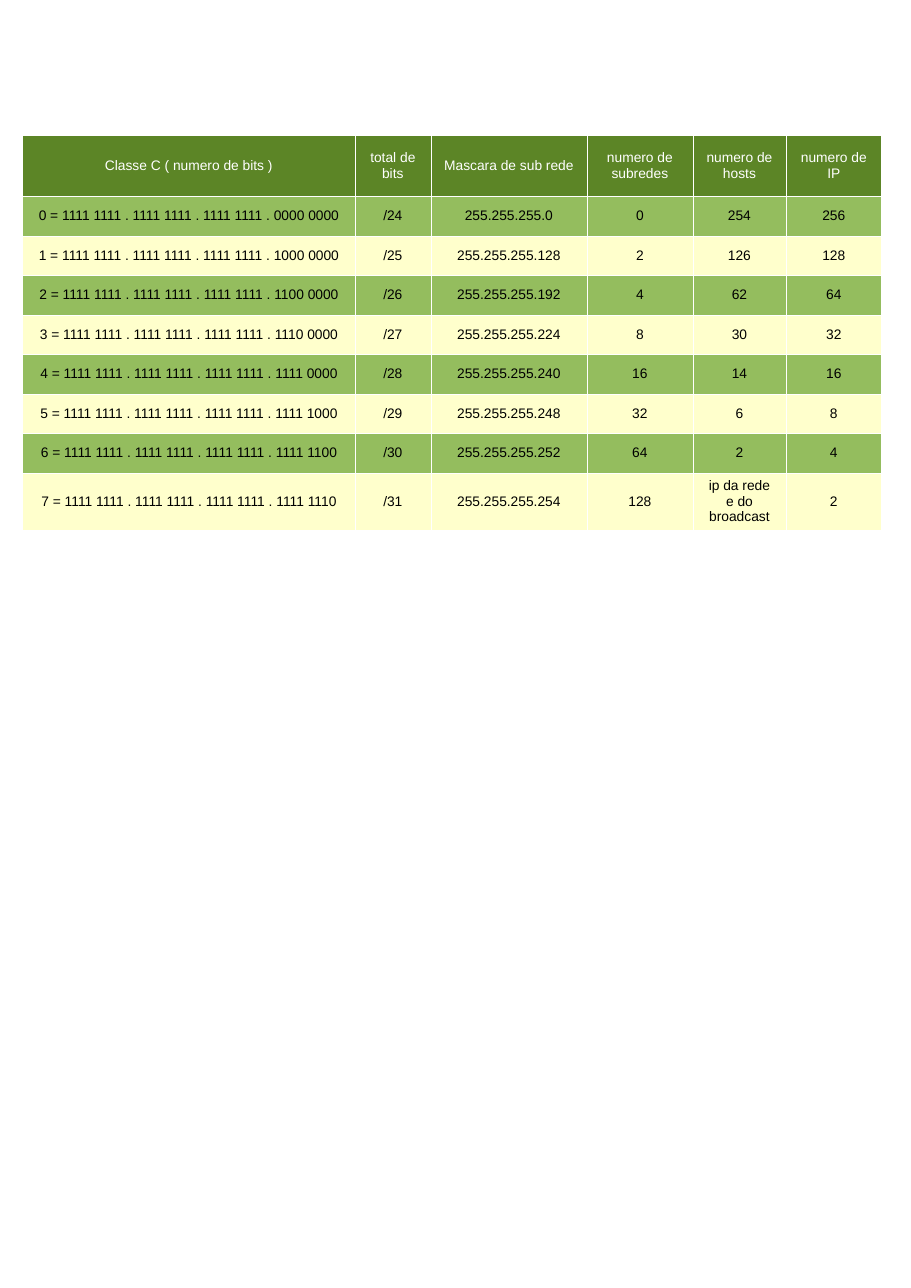
import dataclasses

import lxml.etree
import pptx
import pptx.dml.color
import pptx.enum.text
import pptx.oxml.ns
import pptx.table
import pptx.util

Cm = pptx.util.Cm
COLOURS = {
    "header": "5C8526",
    "even": "94BD5E",
    "odd": "FFFFCC",
    "border": "FFFFFF",
    "header_text": "FFFFFF",
    "body_text": "000000",
}
BORDER_WIDTH = pptx.util.Pt(0.06)
HEADER_HEIGHT = Cm(1.41)
ROW_HEIGHT = Cm(0.91)
LAST_ROW_HEIGHT = Cm(1.29)


@dataclasses.dataclass(frozen=True)
class Column:
    heading: str
    width_cm: float


@dataclasses.dataclass(frozen=True)
class Subnet:
    """A class C network with some host bits borrowed for subnets."""

    borrowed_bits: int

    def texts(self) -> list[str]:
        addresses = 2 ** (8 - self.borrowed_bits)
        mask = 256 - addresses
        bits = f"{mask:08b}"
        subnets = 2 ** self.borrowed_bits if self.borrowed_bits else 0
        hosts = str(addresses - 2) if addresses > 2 else "ip da rede e do broadcast"
        octets = ["1111 1111"] * 3 + [f"{bits[:4]} {bits[4:]}"]
        return [
            f"{self.borrowed_bits} = {' . '.join(octets)}",
            f"/{24 + self.borrowed_bits}",
            f"255.255.255.{mask}",
            str(subnets),
            hosts,
            str(addresses),
        ]


COLUMNS = [
    Column("Classe C ( numero de bits )", 7.66),
    Column("total de bits", 1.75),
    Column("Mascara de sub rede", 3.6),
    Column("numero de subredes", 2.44),
    Column("numero de hosts", 2.15),
    Column("numero de IP", 2.2),
]
SUBNETS = [Subnet(borrowed_bits) for borrowed_bits in range(8)]


def rgb(name: str) -> pptx.dml.color.RGBColor:
    return pptx.dml.color.RGBColor.from_string(COLOURS[name])


def add_borders(cell: pptx.table._Cell) -> None:
    """Must run before the fill is set, since borders come first in the XML."""
    qn = pptx.oxml.ns.qn
    properties = cell._tc.get_or_add_tcPr()
    for side in ("a:lnL", "a:lnR", "a:lnT", "a:lnB"):
        line = lxml.etree.SubElement(properties, qn(side), w=str(BORDER_WIDTH))
        fill = lxml.etree.SubElement(line, qn("a:solidFill"))
        lxml.etree.SubElement(fill, qn("a:srgbClr"), val=COLOURS["border"])


def fill_row(row: pptx.table._Row, texts: list[str], background: str, text_colour: str) -> None:
    for cell, text in zip(row.cells, texts):
        add_borders(cell)
        cell.fill.solid()
        cell.fill.fore_color.rgb = rgb(background)
        cell.vertical_anchor = pptx.enum.text.MSO_ANCHOR.MIDDLE
        cell.text = text
        paragraph = cell.text_frame.paragraphs[0]
        paragraph.alignment = pptx.enum.text.PP_ALIGN.CENTER
        paragraph.font.name = "Arial"
        paragraph.font.size = pptx.util.Pt(9)
        paragraph.font.color.rgb = rgb(text_colour)


def main() -> None:
    presentation = pptx.Presentation()
    presentation.slide_width = Cm(21)
    presentation.slide_height = Cm(29.7)
    slide = presentation.slides.add_slide(presentation.slide_layouts[6])

    heights = [HEADER_HEIGHT] + [ROW_HEIGHT] * (len(SUBNETS) - 1) + [LAST_ROW_HEIGHT]
    total_width = Cm(sum(column.width_cm for column in COLUMNS))
    subnet_table = slide.shapes.add_table(
        len(heights), len(COLUMNS), Cm(0.52), Cm(3.12), total_width, sum(heights)
    ).table
    subnet_table.first_row = False
    subnet_table.horz_banding = False
    for table_column, column in zip(subnet_table.columns, COLUMNS):
        table_column.width = Cm(column.width_cm)
    for row, height in zip(subnet_table.rows, heights):
        row.height = height

    headings = [column.heading for column in COLUMNS]
    fill_row(subnet_table.rows[0], headings, "header", "header_text")
    for index, subnet in enumerate(SUBNETS):
        background = "odd" if index % 2 else "even"
        fill_row(subnet_table.rows[index + 1], subnet.texts(), background, "body_text")

    presentation.save("out.pptx")


if __name__ == "__main__":
    main()
